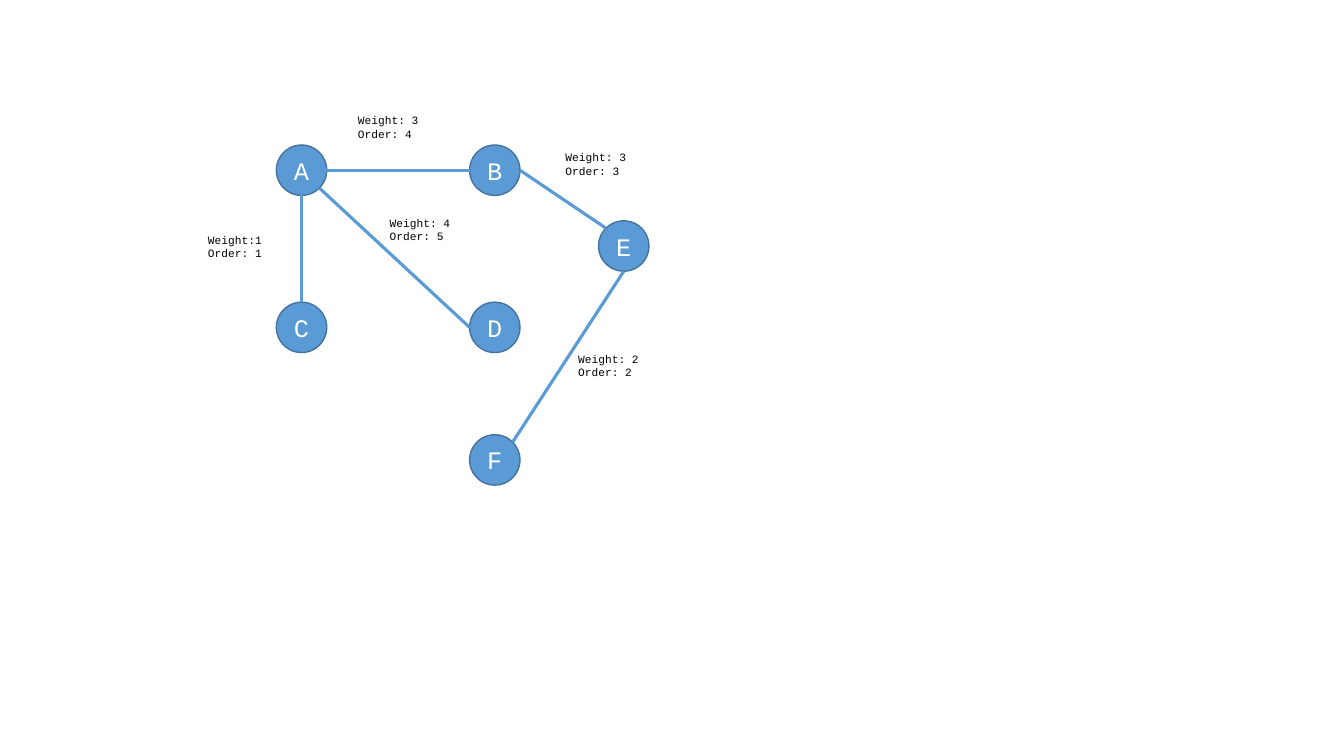
from dataclasses import dataclass

from lxml import etree
from pptx import Presentation
from pptx import util as u
from pptx.dml.color import RGBColor
from pptx.enum import shapes, text
from pptx.oxml import ns


@dataclass(frozen=True)
class Theme:
    font: str = "Courier New"
    fill: RGBColor = RGBColor(0x5B, 0x9B, 0xD5)
    outline: RGBColor = RGBColor(0x43, 0x73, 0x9E)
    node_text: RGBColor = RGBColor(0xFF, 0xFF, 0xFF)
    label_text: RGBColor = RGBColor(0, 0, 0)
    node_size: int = 18
    label_size: int = 8
    outline_width: float = 1
    edge_width: float = 2.25


THEME = Theme()
DIAMETER = 1.27
RADIUS = DIAMETER / 2

# Node centres in centimetres
NODES = {
    "A": (7.6, 4.29),
    "B": (12.47, 4.29),
    "E": (15.72, 6.2),
    "D": (12.47, 8.25),
    "F": (12.47, 11.59),
    "C": (7.6, 8.25),
}

# Attachment points as fractions of the radius from a node's centre
SIDES = {
    "top": (0, -1),
    "bottom": (0, 1),
    "left": (-1, 0),
    "right": (1, 0),
    "inner right": (0.44, 0),
    "top left": (-0.71, -0.71),
    "top right": (0.71, -0.71),
    "bottom right": (0.71, 0.71),
}

# Start node and side, end node and side
EDGES = [
    ("A", "bottom", "C", "top"),
    ("E", "bottom", "F", "top right"),
    ("B", "left", "A", "inner right"),
    ("B", "right", "E", "top left"),
    ("A", "bottom right", "D", "left"),
]

# Left and top in centimetres, then the two lines of wording
LABELS = [
    (4.99, 5.75, "Weight:1\nOrder: 1"),
    (14.32, 8.75, "Weight: 2\nOrder: 2"),
    (14.0, 3.67, "Weight: 3\nOrder: 3"),
    (8.77, 2.74, "Weight: 3\nOrder: 4"),
    (9.57, 5.32, "Weight: 4\nOrder: 5"),
]


def write(frame, wording, size, color, align):
    frame.text = wording
    for para in frame.paragraphs:
        para.alignment = align
        for span in para.runs:
            span.font.name = THEME.font
            span.font.size = u.Pt(size)
            span.font.color.rgb = color


def add_node(page, name):
    x, y = NODES[name]
    node = page.shapes.add_shape(
        shapes.MSO_SHAPE.OVAL, u.Cm(x - RADIUS), u.Cm(y - RADIUS),
        u.Cm(DIAMETER), u.Cm(DIAMETER))
    node.shadow.inherit = False
    node.fill.solid()
    node.fill.fore_color.rgb = THEME.fill
    node.line.color.rgb = THEME.outline
    node.line.width = u.Pt(THEME.outline_width)
    node.text_frame.vertical_anchor = text.MSO_ANCHOR.MIDDLE
    write(node.text_frame, name, THEME.node_size, THEME.node_text,
          text.PP_ALIGN.CENTER)


def attachment(name, side):
    return [u.Cm(centre + RADIUS * shift)
            for centre, shift in zip(NODES[name], SIDES[side])]


def add_edge(page, start, start_side, end, end_side):
    edge = page.shapes.add_connector(
        shapes.MSO_CONNECTOR.STRAIGHT,
        *attachment(start, start_side), *attachment(end, end_side))
    edge.line.color.rgb = THEME.fill
    edge.line.width = u.Pt(THEME.edge_width)
    etree.SubElement(edge._element.spPr, ns.qn("a:effectLst"))


def add_label(page, left, top, wording):
    box = page.shapes.add_textbox(u.Cm(left), u.Cm(top), u.Cm(2.16), u.Cm(0.94))
    box.text_frame.word_wrap = True
    box.text_frame.auto_size = text.MSO_AUTO_SIZE.SHAPE_TO_FIT_TEXT
    write(box.text_frame, wording, THEME.label_size, THEME.label_text,
          text.PP_ALIGN.LEFT)


def main():
    deck = Presentation()
    deck.slide_width, deck.slide_height = u.Cm(33.87), u.Cm(19.05)
    page = deck.slides.add_slide(deck.slide_layouts[6])

    # Graph nodes
    for name in NODES:
        add_node(page, name)

    # Edges of the spanning tree
    for edge in EDGES:
        add_edge(page, *edge)

    # Weight and order of each edge
    for label in LABELS:
        add_label(page, *label)

    deck.save("out.pptx")


if __name__ == "__main__":
    main()
